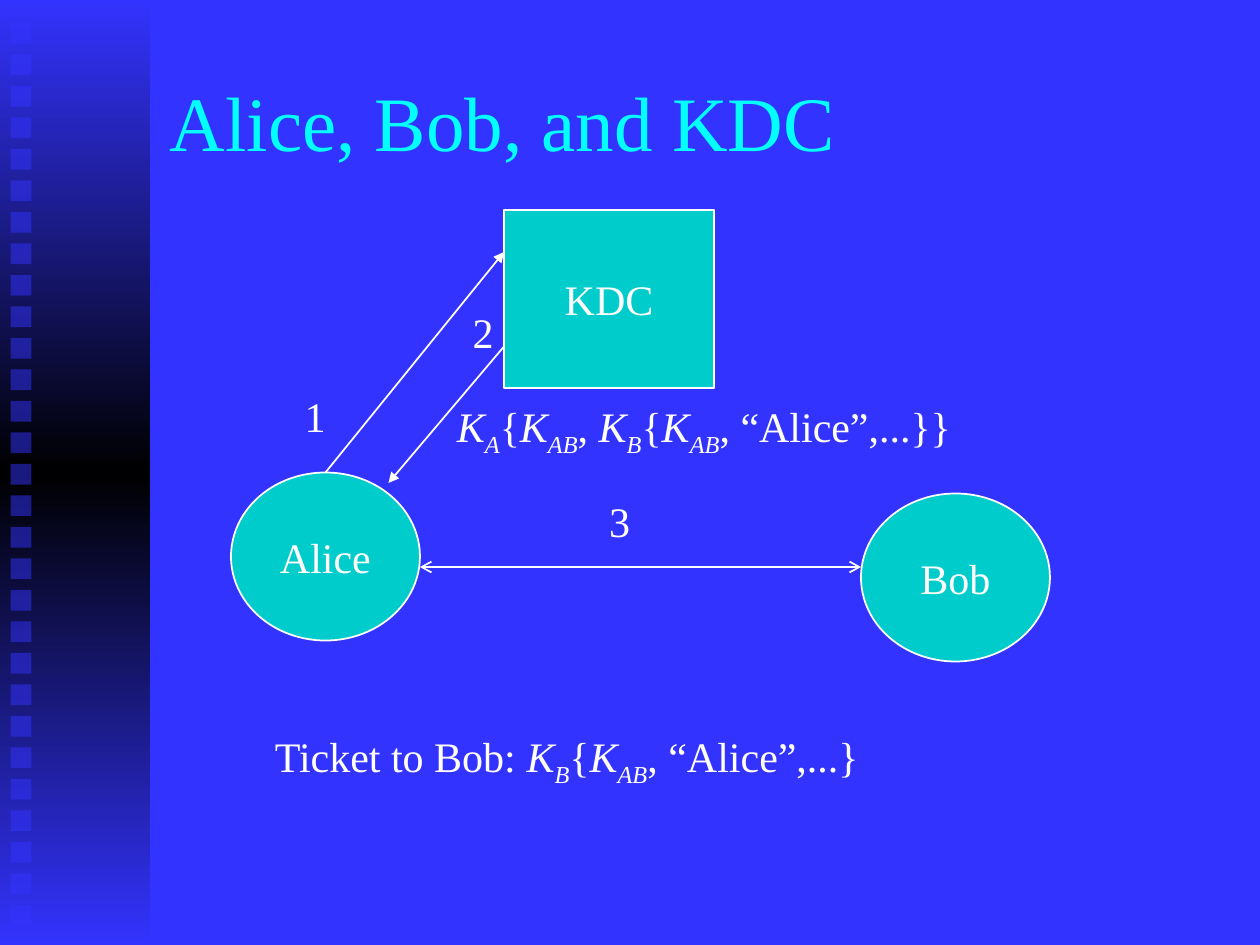
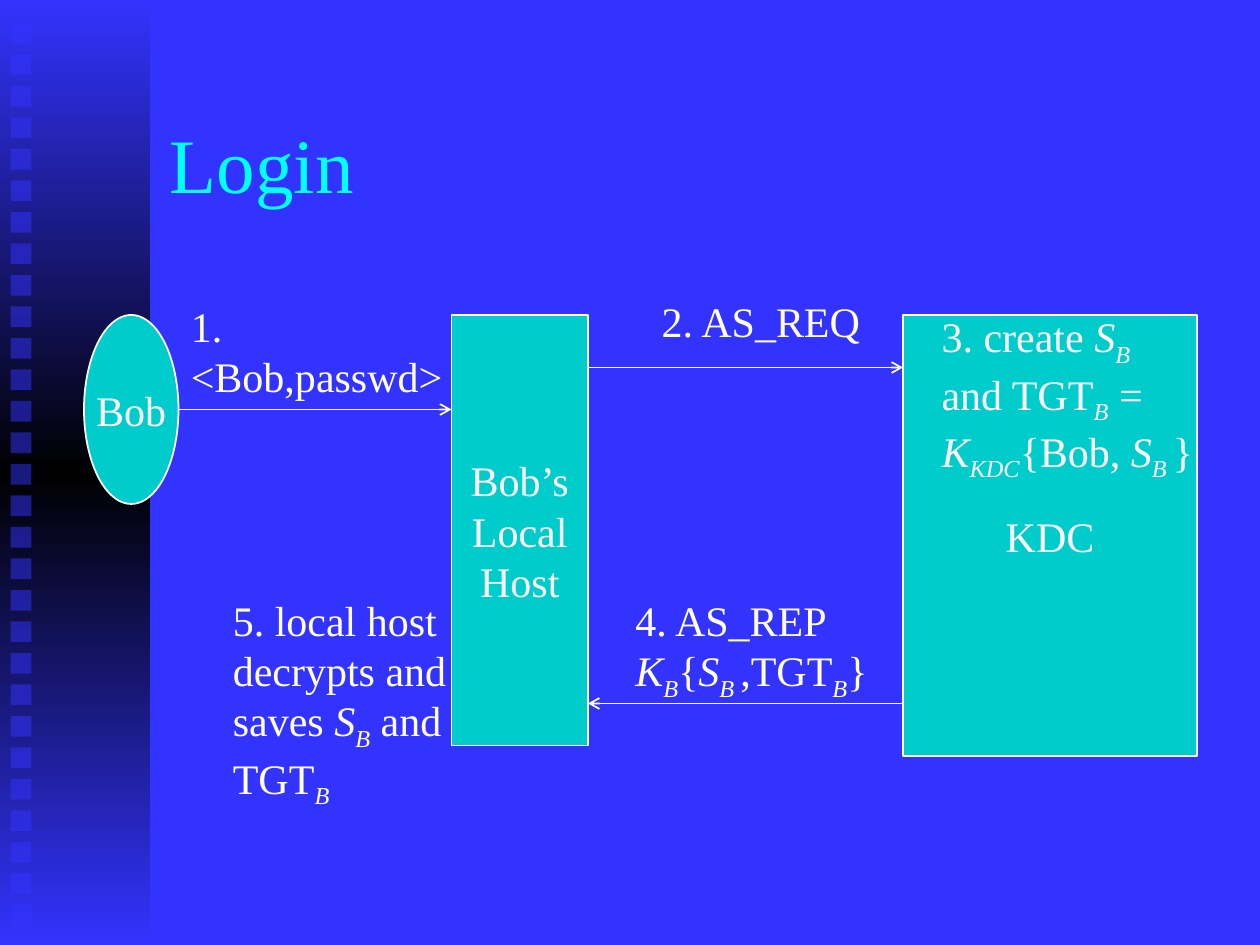
from copy import deepcopy
from pptx import Presentation
from pptx.dml.color import RGBColor
from pptx.enum.shapes import MSO_CONNECTOR, MSO_SHAPE
from pptx.enum.text import MSO_ANCHOR, MSO_AUTO_SIZE, PP_ALIGN
from pptx.oxml.ns import qn
from pptx.util import Pt
from lxml.etree import SubElement

COLORS = {"blue": "3333FF", "black": "000000", "teal": "00CCCC", "white": "FFFFFF", "cyan": "00FFFF"}
RGB = {name: RGBColor.from_string(value) for name, value in COLORS.items()}
BODY = {"name": "Times New Roman", "size": Pt(24)}
TITLE = {"name": "Times New Roman", "size": Pt(44)}
RECT, OVAL = MSO_SHAPE.RECTANGLE, MSO_SHAPE.OVAL

SLIDES = [
    {
        "title": ("Alice, Bob, and KDC", 24),
        "nodes": [
            (OVAL, "Alice", 132, 270, 108, 96),
            (OVAL, "Bob", 492, 282, 108, 96),
            (RECT, "KDC", 288, 120, 120, 102),
        ],
        "arrows": [
            (186, 270, 288, 144, {"tailEnd": "triangle"}),
            (288, 198, 222, 276, {"tailEnd": "triangle"}),
            (240, 324, 492, 324, {"headEnd": "arrow", "tailEnd": "arrow"}),
        ],
        "labels": [
            ("1", 167, 219.5, 26, 36, False),
            ("2", 263, 171.5, 26, 36, False),
            ("3", 341, 279.5, 26, 36, False),
            ("*K_A*{*K_AB*, *K_B*{*K_AB*, “Alice”,...}}", 254, 225.5, 297, 40, False),
            ("Ticket to Bob: *K_B*{*K_AB*, “Alice”,...}", 150, 414, 384, 40, True),
        ],
    },
    {
        "title": ("Login", 48),
        "nodes": [
            (RECT, "Bob’s\nLocal\nHost", 258, 180, 78, 246),
            (RECT, "KDC", 516, 180, 168, 252),
            (OVAL, "Bob", 48, 180, 54, 108),
        ],
        "arrows": [
            (102, 234, 258, 234, {"tailEnd": "arrow"}),
            (336, 210, 516, 210, {"tailEnd": "arrow"}),
            (516, 402, 336, 402, {"tailEnd": "arrow"}),
        ],
        "labels": [
            ("1.\n<Bob,passwd>", 102, 168, 158, 65, False),
            ("2. AS_REQ", 371, 165.5, 129, 36, False),
            ("3. create *S_B*\nand TGT*_B* =\n*K_KDC*{Bob, *S_B *}", 531, 174, 158, 106, False),
            ("4. AS_REP\n*K_B*{*S_B *,TGT*_B*}", 356, 336, 147, 69, False),
            ("5. local host\ndecrypts and\nsaves *S_B* and\nTGT*_B*", 126, 336, 153, 130, True),
        ],
    },
]


def write(sp, text, font, color, frame, align=PP_ALIGN.LEFT):
    tf = sp.text_frame
    for name, value in frame.items():
        setattr(tf, name, value)
    for i, line in enumerate(text.split("\n")):
        p = tf.add_paragraph() if i else tf.paragraphs[0]
        p.alignment = align
        for j, part in enumerate(line.split("*")):
            italic = j % 2 == 1
            pieces = part.split("_") if italic else [part]
            for k, piece in enumerate(pieces):
                if not piece:
                    continue
                r = p.add_run()
                r.text = piece
                for name, value in {**font, "italic": italic}.items():
                    setattr(r.font, name, value)
                r.font.color.rgb = RGB[color]
                if k:
                    r._r.get_or_add_rPr().set("baseline", "-25000")


def add_box(s, kind, x, y, w, h, fill, line=None):
    sp = s.shapes.add_shape(kind, Pt(x), Pt(y), Pt(w), Pt(h))
    sp.shadow.inherit = False
    sp.fill.solid()
    sp.fill.fore_color.rgb = RGB[fill]
    if line:
        sp.line.color.rgb = RGB[line]
        sp.line.width = Pt(1)
    else:
        sp.line.fill.background()
    return sp


prs = Presentation()
prs.slide_width, prs.slide_height = Pt(720), Pt(540)
bg = prs.slide_master.background.fill
bg.solid()
bg.fore_color.rgb = RGB["blue"]

for spec_slide in SLIDES:
    s = prs.slides.add_slide(prs.slide_layouts[6])

    band = add_box(s, RECT, 0, 0, 85.5, 540, "blue")
    band.fill.gradient()
    band.fill.gradient_angle = 90
    stops = band._element.spPr.find(".//" + qn("a:gsLst"))
    stops.insert(1, deepcopy(stops[0]))
    for stop, position, color in zip(band.fill.gradient_stops, (0, 0.5, 1), ("blue", "black", "blue")):
        stop.position = position
        stop.color.rgb = RGB[color]
    for i in range(29):
        square = add_box(s, RECT, 6, 13 + 18 * i, 12, 12, "blue")
        rgb = square._element.spPr.find(".//" + qn("a:srgbClr"))
        SubElement(rgb, qn("a:alpha"), val="50000")

    title, y = spec_slide["title"]
    sp = s.shapes.add_textbox(Pt(90), Pt(y), Pt(612), Pt(90))
    write(sp, title, TITLE, "cyan", {"word_wrap": True, "vertical_anchor": MSO_ANCHOR.MIDDLE})

    for kind, text, x, y, w, h in spec_slide["nodes"]:
        sp = add_box(s, kind, x, y, w, h, "teal", "white")
        frame = {"word_wrap": False, "vertical_anchor": MSO_ANCHOR.MIDDLE}
        write(sp, text, BODY, "white", frame, PP_ALIGN.CENTER)

    for x1, y1, x2, y2, heads in spec_slide["arrows"]:
        arrow = s.shapes.add_connector(MSO_CONNECTOR.STRAIGHT, Pt(x1), Pt(y1), Pt(x2), Pt(y2))
        arrow.line.color.rgb = RGB["white"]
        arrow.line.width = Pt(1)
        for end, style in heads.items():
            SubElement(arrow.line._get_or_add_ln(), qn(f"a:{end}"), type=style)
        SubElement(arrow._element.spPr, qn("a:effectLst"))

    for text, x, y, w, h, wrap in spec_slide["labels"]:
        sp = s.shapes.add_textbox(Pt(x), Pt(y), Pt(w), Pt(h))
        write(sp, text, BODY, "white", {"auto_size": MSO_AUTO_SIZE.SHAPE_TO_FIT_TEXT, "word_wrap": wrap})

prs.save("out.pptx")
